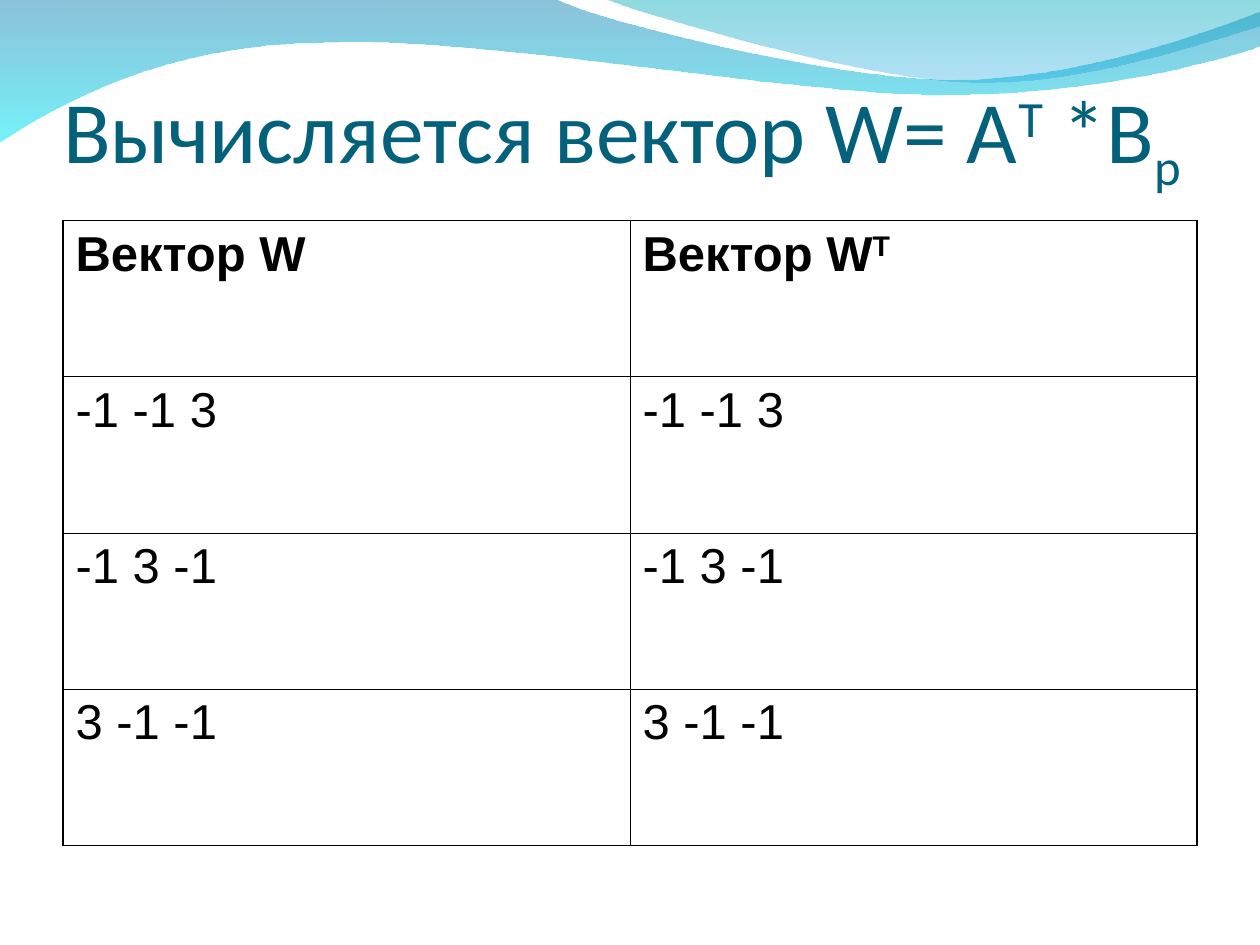
"""Build the slide with the vector W title and table."""
from lxml.etree import SubElement
from pptx import Presentation
from pptx.dml.color import RGBColor
from pptx.enum.text import MSO_ANCHOR, MSO_AUTO_SIZE, PP_ALIGN
from pptx.oxml.ns import qn
from pptx.util import Inches, Pt


def rgb(value):
    return RGBColor.from_string(value)


def add_runs(p, runs, font):
    for text, baseline in runs:
        r = p.add_run()
        r.text = text
        for name, value in font.items():
            setattr(r.font, name, value)
        r.font.color.rgb = rgb(colors[font["name"]])
        if baseline:
            r.font._element.set("baseline", str(baseline * 1000))


colors = {"Calibri": "04617B", "Arial": "000000"}
prs = Presentation()
prs.slide_width, prs.slide_height = Inches(10), Inches(7.5)
s = prs.slides.add_slide(prs.slide_layouts[5])

waves = [
    ([(0, -0.01), (4.4, -0.01),
      (4.76, 0.17, 6.64, 0.63, 7.58, 0.63),
      (8.53, 0.63, 9.58, 0.26, 10, 0.09), (10.01, 0.36),
      (9.83, 0.44, 8.7, 0.76, 7.46, 0.75),
      (6.22, 0.75, 3.82, 0.28, 2.57, 0.34),
      (1.29, 0.35, 0.46, 0.83, -0.01, 1.13), (0, -0.01)],
     [("0079AF", 45), ("00EBF8", 55)]),
    ([(4.79, -0.01),
      (5.09, 0.11, 6.82, 0.62, 7.69, 0.65),
      (8.56, 0.69, 9.61, 0.32, 10, 0.21), (10, 0), (4.79, -0.01)],
     [("00ADB6", 45), ("009BE5", 30)]),
]
for segments, stops in waves:
    points = [(Inches(seg[i]), Inches(seg[i + 1])) for seg in segments for i in range(0, len(seg), 2)]
    builder = s.shapes.build_freeform(*points[0])
    builder.add_line_segments(points[1:], close=True)
    sp = builder.convert_to_shape()
    lines = iter(list(sp._element.iter(qn("a:lnTo"))))
    for seg in segments[1:]:
        curve = next(lines)
        if len(seg) == 6:
            curve.tag = qn("a:cubicBezTo")
            for _ in range(2):
                line = next(lines)
                curve.append(line[0])
                line.getparent().remove(line)
    sp.shadow.inherit = False
    sp.line.fill.background()
    sp.fill.gradient()
    sp.fill.gradient_angle = 270
    for stop, (color, _) in zip(sp.fill.gradient_stops, stops):
        stop.color.rgb = rgb(color)
    for clr, (_, alpha) in zip(sp._element.spPr.iter(qn("a:srgbClr")), stops):
        SubElement(clr, qn("a:alpha"), val=str(alpha * 1000))

title = s.shapes.title
s.shapes._spTree.append(title._element)
title.left, title.top, title.width, title.height = Inches(0.5), Inches(0.3), Inches(9), Inches(1.25)
tf = title.text_frame
frame_format = {"margin_left": 0, "margin_right": 0, "margin_top": Inches(0.05), "margin_bottom": 0,
                "vertical_anchor": MSO_ANCHOR.BOTTOM, "auto_size": MSO_AUTO_SIZE.NONE, "word_wrap": True}
for name, value in frame_format.items():
    setattr(tf, name, value)
p = tf.paragraphs[0]
p.alignment = PP_ALIGN.LEFT
add_runs(p, [("Вычисляется вектор W= А", 0), ("T", 30), (" *B", 0), ("p", -25)],
         {"name": "Calibri", "size": Pt(50)})

vectors = ["-1 -1 3", "-1 3 -1", "3 -1 -1"]
rows = [[[("Вектор W", 0)], [("Вектор W", 0), ("T", 30)]]]
rows += [[[(vector, 0)]] * 2 for vector in vectors]
n_rows, n_cols = len(rows), len(rows[0])
table = s.shapes.add_table(n_rows, n_cols, Inches(0.5), Inches(1.75), Inches(9), Inches(4.96)).table
table.first_row = table.horz_banding = False
for i, row in enumerate(rows):
    for j, runs in enumerate(row):
        cell = table.cell(i, j)
        tcPr = cell._tc.get_or_add_tcPr()
        outer = {"L": j == 0, "R": j == n_cols - 1, "T": i == 0, "B": i == n_rows - 1}
        for side, is_outer in outer.items():
            ln = SubElement(tcPr, qn(f"a:ln{side}"), w=str(Pt(1.08 if is_outer else 0.45)))
            SubElement(SubElement(ln, qn("a:solidFill")), qn("a:srgbClr"), val="000000")
        cell.fill.background()
        p = cell.text_frame.paragraphs[0]
        add_runs(p, runs, {"name": "Arial", "size": Pt(28), "bold": i == 0})

prs.save("out.pptx")
